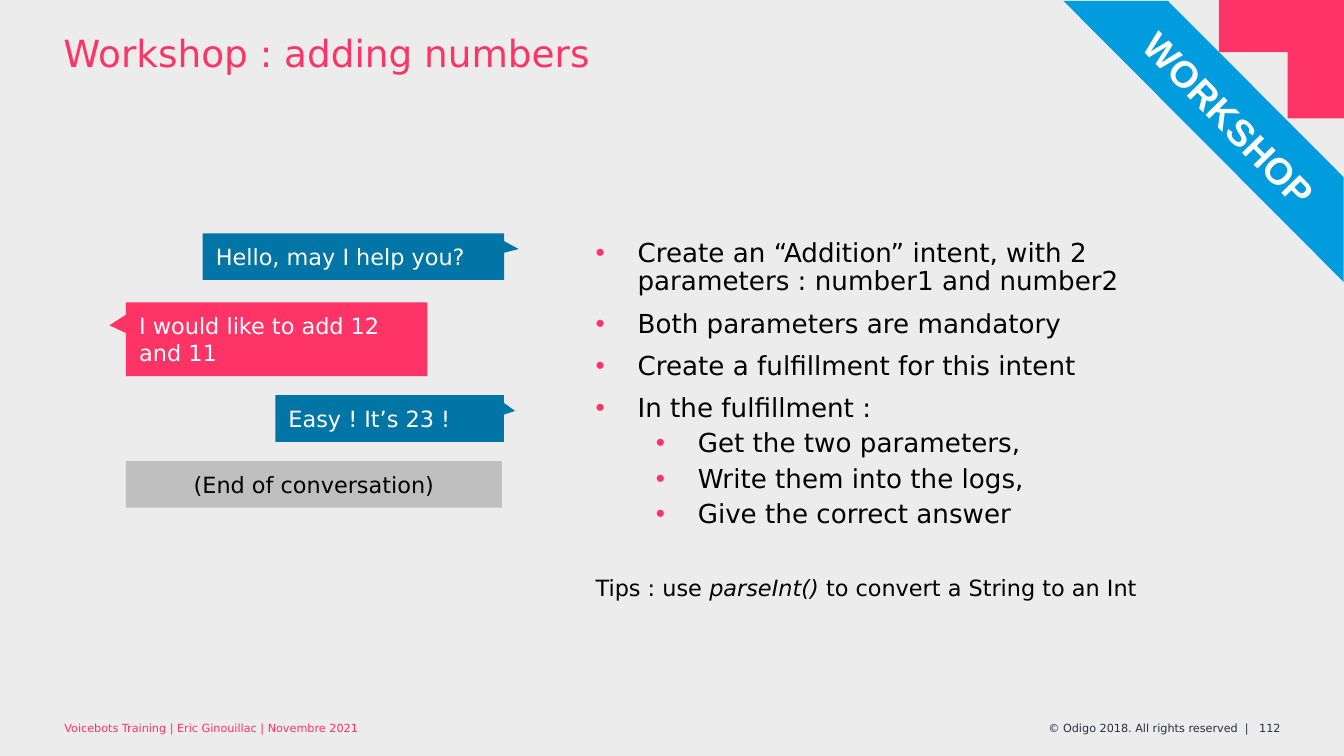
from lxml import etree
from pptx import Presentation
from pptx.dml.color import RGBColor
from pptx.enum.shapes import MSO_SHAPE
from pptx.enum.text import MSO_ANCHOR, PP_ALIGN
from pptx.oxml.ns import qn
from pptx.util import Pt

CALLOUT = MSO_SHAPE.RECTANGULAR_CALLOUT
RECTANGLE = MSO_SHAPE.RECTANGLE
STRIPE = MSO_SHAPE.DIAGONAL_STRIPE
TOP, MIDDLE, BOTTOM = MSO_ANCHOR.TOP, MSO_ANCHOR.MIDDLE, MSO_ANCHOR.BOTTOM
LEFT, CENTER, RIGHT = PP_ALIGN.LEFT, PP_ALIGN.CENTER, PP_ALIGN.RIGHT

COLORS = {
    "background": "ECECEC",
    "pink": "FF3466",
    "blue": "0075A6",
    "sky": "009CDE",
    "gray": "BFBFBF",
    "navy": "2A3045",
    "black": "000000",
    "white": "FFFFFF",
}
FONT = "DejaVu Sans"
INSETS = (7.2, 3.6, 7.2, 3.6)
BULLETS = [
    (0, "Create an “Addition” intent, with 2 parameters : number1 and number2"),
    (0, "Both parameters are mandatory"),
    (0, "Create a fulfillment for this intent"),
    (0, "In the fulfillment :"),
    (1, "Get the two parameters,"),
    (1, "Write them into the logs,"),
    (1, "Give the correct answer"),
]
LEVELS = [{"indent": 22.5, "space": 7.5}, {"indent": 54.75, "space": 3.75}]


def color(name):
    return RGBColor.from_string(COLORS[name])


def set_values(target, **values):
    for name, value in values.items():
        setattr(target, name, value)


def set_frame(frame, insets=INSETS, anchor=TOP, wrap=True):
    sides = ("margin_left", "margin_top", "margin_right", "margin_bottom")
    set_values(frame, vertical_anchor=anchor, word_wrap=wrap,
               **{side: Pt(value) for side, value in zip(sides, insets)})


def add_span(para, text, size, ink, name=FONT, **values):
    span = para.add_run()
    span.text = text
    set_values(span.font, size=Pt(size), name=name, **values)
    span.font.color.rgb = color(ink)


def add_box(page, area):
    return page.shapes.add_textbox(*map(Pt, area))


def paint(shape, fill):
    shape.shadow.inherit = False
    shape.fill.solid()
    shape.fill.fore_color.rgb = color(fill)
    shape.line.fill.background()


def add_panel(page, kind, area, fill, adjustments=()):
    shape = page.shapes.add_shape(kind, *map(Pt, area))
    paint(shape, fill)
    for index, value in enumerate(adjustments):
        shape.adjustments[index] = value
    return shape


def add_title(page, area):
    box = add_box(page, area)
    set_frame(box.text_frame, (34, 14.4, 3, 0))
    para = box.text_frame.paragraphs[0]
    para.line_spacing = 0.9
    add_span(para, "Workshop : adding numbers", 20, "pink")


def add_footer(page, area):
    left, top, width, height = area
    credit_width = 273
    box = add_box(page, (left, top, credit_width, height))
    set_frame(box.text_frame, (34, 0, 0, 14.4), BOTTOM, False)
    add_span(box.text_frame.paragraphs[0],
             "Voicebots Training | Eric Ginouillac | Novembre 2021", 6, "pink")

    rights_width = 170.5
    box = add_box(page, (left + width - rights_width, top, rights_width, height))
    set_frame(box.text_frame, (0, 0, 34, 14.4), BOTTOM)
    para = box.text_frame.paragraphs[0]
    para.alignment = RIGHT
    tabs = etree.SubElement(para._p.get_or_add_pPr(), qn("a:tabLst"))
    etree.SubElement(tabs, qn("a:tab"), pos=str(Pt(113)), algn="l")
    add_span(para, "© Odigo 2018. All rights reserved  |\t112", 6, "navy")


def add_corner(page, area):
    left, top, width, height = area
    right, bottom = left + width, top + height
    step_x, step_y = left + 0.55 * width, top + 0.44 * height
    outline = page.shapes.build_freeform(Pt(left), Pt(top))
    points = [(left, step_y), (step_x, step_y), (step_x, bottom),
              (right, bottom), (right, top)]
    outline.add_line_segments([(Pt(x), Pt(y)) for x, y in points])
    paint(outline.convert_to_shape(), "pink")


def add_conversation(page, area):
    left, top, width, height = area
    right = left + width
    bot, user = (0.549, -0.162), (-0.555, -0.189)
    turns = [
        ("Hello, may I help you?", CALLOUT, right - 161.5, 0, 161.5, 25, "blue", bot),
        ("I would like to add 12 and 11", CALLOUT, left, 37, 161.5, 39.5, "pink", user),
        ("Easy ! It’s 23 !", CALLOUT, right - 122.5, 86.75, 122.5, 25, "blue", bot),
        ("(End of conversation)", RECTANGLE, left, height - 25, width - 1, 25, "gray", ()),
    ]
    for text, kind, x, y, wide, high, fill, pointer in turns:
        shape = add_panel(page, kind, (x, top + y, wide, high), fill, pointer)
        set_frame(shape.text_frame, anchor=MIDDLE)
        para = shape.text_frame.paragraphs[0]
        para.alignment = LEFT if pointer else CENTER
        add_span(para, text, 12, "white" if pointer else "black")


def add_bullet(para, indent):
    props = para._p.get_or_add_pPr()
    props.set("marL", str(Pt(indent)))
    props.set("indent", str(-Pt(22.5)))
    tint = etree.SubElement(props, qn("a:buClr"))
    etree.SubElement(tint, qn("a:srgbClr"), val=COLORS["pink"])
    etree.SubElement(props, qn("a:buFont"), typeface="Arial")
    etree.SubElement(props, qn("a:buChar"), char="•")


def add_instructions(page, area):
    frame = add_box(page, area).text_frame
    set_frame(frame)
    for index, (level, text) in enumerate(BULLETS):
        para = frame.add_paragraph() if index else frame.paragraphs[0]
        add_bullet(para, LEVELS[level]["indent"])
        space = LEVELS[level]["space"] if index else 0
        set_values(para, level=level, line_spacing=0.9, space_before=Pt(space))
        add_span(para, text, 14, "black")
    tips = frame.add_paragraph()
    set_values(tips, line_spacing=0.9, space_before=Pt(26))
    add_span(tips, "Tips : use ", 12, "black")
    add_span(tips, "parseInt() ", 12, "black", italic=True)
    add_span(tips, "to convert a String to an Int", 12, "black")


def add_ribbon(page, area):
    left, top, width, height = area
    stripe = add_panel(page, STRIPE, area, "sky", (0.627,))
    stripe.rotation = 90
    box = add_box(page, (left + 24.5, top + 41, 134.5, 38))
    box.rotation = 45.6
    set_frame(box.text_frame, (6, 6, 6, 6))
    para = box.text_frame.paragraphs[0]
    set_values(para, alignment=CENTER, line_spacing=1.2, space_after=Pt(6))
    add_span(para, "WORKSHOP", 20, "white", "Arial", bold=True)


def main():
    deck = Presentation()
    set_values(deck, slide_width=Pt(720), slide_height=Pt(405))
    page = deck.slides.add_slide(deck.slide_layouts[6])
    page.background.fill.solid()
    page.background.fill.fore_color.rgb = color("background")
    add_footer(page, (0.5, 372.5, 719.5, 32))
    add_corner(page, (653, 0, 67, 63.5))
    add_title(page, (0, 4.5, 549.5, 63.5))
    add_conversation(page, (67.5, 125, 202.5, 147))
    add_instructions(page, (312, 125, 340.5, 215))
    add_ribbon(page, (569.5, 0.75, 150.5, 150))
    deck.save("out.pptx")


if __name__ == "__main__":
    main()
